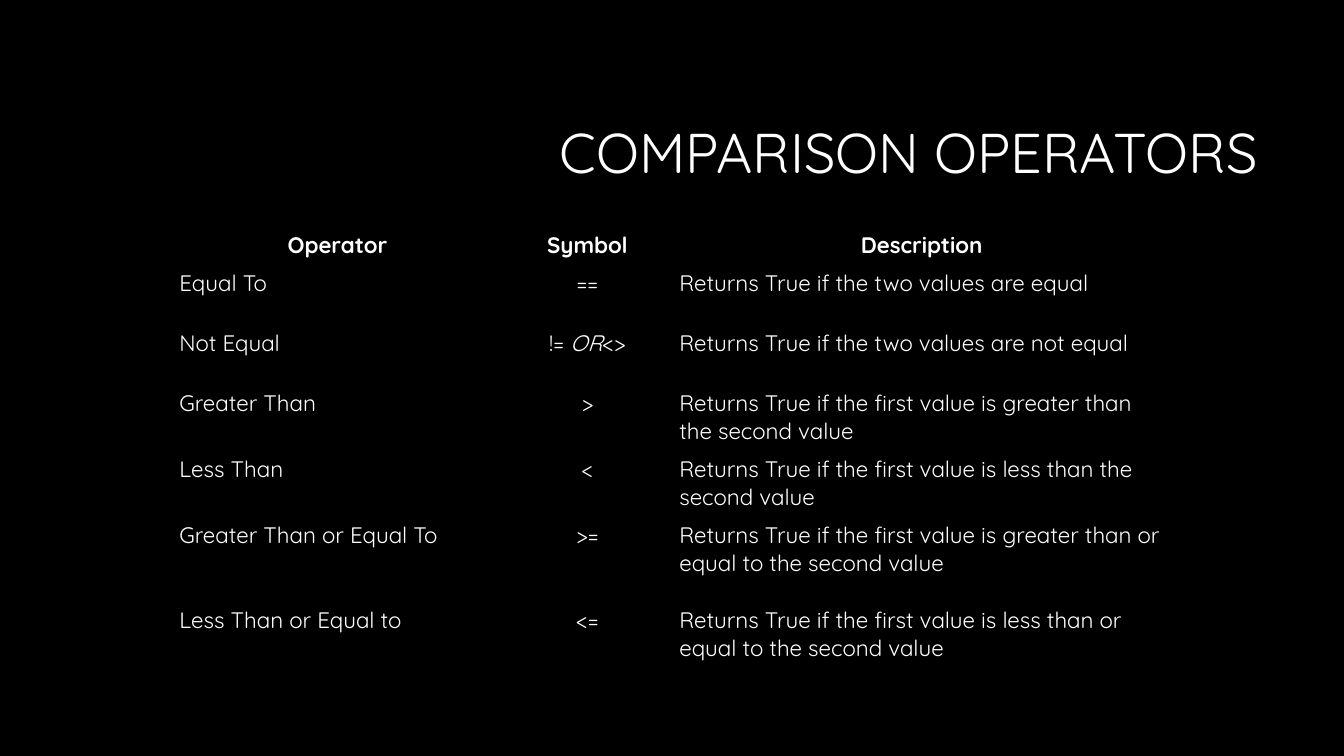
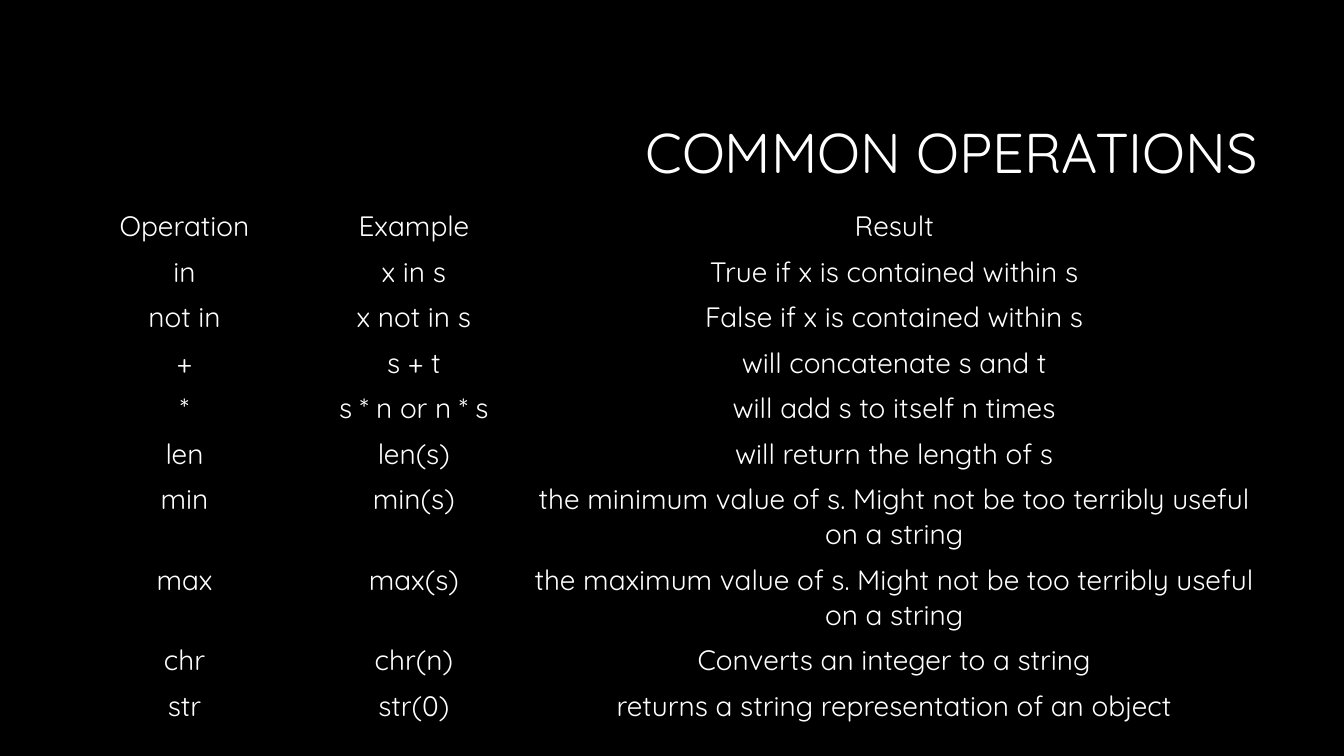
"""Build two slides of Python operator tables."""
from dataclasses import dataclass

from pptx import Presentation
from pptx.dml.color import RGBColor
from pptx.enum.text import MSO_ANCHOR, PP_ALIGN
from pptx.oxml.ns import qn
from pptx.presentation import Presentation as Deck
from pptx.slide import Slide
from pptx.util import Cm, Pt

LEFT, CENTER, RIGHT = PP_ALIGN.LEFT, PP_ALIGN.CENTER, PP_ALIGN.RIGHT
MIDDLE, TOP = MSO_ANCHOR.MIDDLE, MSO_ANCHOR.TOP
COLORS = {"background": "000000", "text": "FFFFFF"}
FONT = "Quicksand"
TITLE_ONLY = 5
NO_STYLE = "{2D5ABB26-0587-4C30-8999-92F81FD0307C}"


@dataclass(frozen=True)
class Run:
    text: str
    italic: bool = False


Cell = str | tuple[Run, ...]


@dataclass(frozen=True)
class TableSlide:
    title: str
    left: float
    top: float
    widths: tuple[float, ...]
    heights: tuple[float, ...]
    aligns: tuple[PP_ALIGN, ...]
    size: float
    side_margin: float
    bold_header: bool
    rows: tuple[tuple[Cell, ...], ...]


SLIDES = (
    TableSlide(
        title="COMPARISON OPERATORS",
        left=4.29, top=5.69,
        widths=(8.43, 4.17, 12.67),
        heights=(0.91, 1.51, 1.51, 1.52, 1.52, 2.14, 2.14),
        aligns=(LEFT, CENTER, LEFT),
        size=16, side_margin=0.23, bold_header=True,
        rows=(
            ("Operator", "Symbol", "Description"),
            ("Equal To", "==", "Returns True if the two values are equal"),
            ("Not Equal", (Run("!= "), Run("OR", italic=True), Run("<>")),
             "Returns True if the two values are not equal"),
            ("Greater Than", ">",
             "Returns True if the first value is greater than the second value"),
            ("Less Than", "<",
             "Returns True if the first value is less than the second value"),
            ("Greater Than or Equal To", ">=",
             "Returns True if the first value is greater than or equal to the second value"),
            ("Less Than or Equal to", "<=",
             "Returns True if the first value is less than or equal to the second value"),
        ),
    ),
    TableSlide(
        title="COMMON OPERATIONS",
        left=1.55, top=5.13,
        widths=(6.2, 5.36, 18.85),
        heights=(1.04,) * 6 + (2.03, 2.03, 1.04, 1.42),
        aligns=(CENTER,) * 3,
        size=20, side_margin=0.2, bold_header=False,
        rows=(
            ("Operation", "Example", "Result"),
            ("in", "x in s", "True if x is contained within s"),
            ("not in", "x not in s", "False if x is contained within s"),
            ("+", "s + t", "will concatenate s and t"),
            ("*", "s * n or n * s", "will add s to itself n times"),
            ("len", "len(s)", "will return the length of s"),
            ("min", "min(s)",
             "the minimum value of s. Might not be too terribly useful on a string"),
            ("max", "max(s)",
             "the maximum value of s. Might not be too terribly useful on a string"),
            ("chr", "chr(n)", "Converts an integer to a string"),
            ("str", "str(0)", "returns a string representation of an object"),
        ),
    ),
)


def write_text(target, content: Cell, *, size: float, align: PP_ALIGN,
               anchor: MSO_ANCHOR, side: float, bold: bool = False,
               line_spacing: float = 1.0) -> None:
    target.margin_left = target.margin_right = Cm(side)
    target.margin_top = target.margin_bottom = Cm(0.13)
    target.vertical_anchor = anchor
    target.word_wrap = True
    p = getattr(target, "text_frame", target).paragraphs[0]
    p.alignment = align
    p.line_spacing = line_spacing
    runs = (Run(content),) if isinstance(content, str) else content
    for run in runs:
        r = p.add_run()
        r.text = run.text
        r.font.name = FONT
        r.font.size = Pt(size)
        r.font.bold = bold
        r.font.italic = run.italic
        r.font.color.rgb = RGBColor.from_string(COLORS["text"])


def add_title(slide: Slide, text: str) -> None:
    sp = slide.shapes.title
    sp.left, sp.top, sp.width, sp.height = Cm(8.05), Cm(2.13), Cm(23.9), Cm(3.58)
    write_text(sp.text_frame, text, size=40, align=RIGHT, anchor=MIDDLE,
               side=0.25, line_spacing=0.9)


def add_table(slide: Slide, data: TableSlide) -> None:
    table = slide.shapes.add_table(
        len(data.rows), len(data.widths), Cm(data.left), Cm(data.top),
        Cm(sum(data.widths)), Cm(sum(data.heights))).table
    table.horz_banding = False
    table.first_row = data.bold_header
    table._tbl.tblPr.find(qn("a:tableStyleId")).text = NO_STYLE
    for column, width in zip(table.columns, data.widths):
        column.width = Cm(width)
    for i, (height, row) in enumerate(zip(data.heights, data.rows)):
        table.rows[i].height = Cm(height)
        for j, content in enumerate(row):
            cell = table.cell(i, j)
            cell.fill.background()
            write_text(cell, content, size=data.size,
                       align=CENTER if i == 0 else data.aligns[j],
                       anchor=TOP, side=data.side_margin,
                       bold=data.bold_header and i == 0)


def add_slide(prs: Deck, data: TableSlide) -> None:
    slide = prs.slides.add_slide(prs.slide_layouts[TITLE_ONLY])
    add_title(slide, data.title)
    add_table(slide, data)


def main() -> None:
    prs = Presentation()
    prs.slide_width, prs.slide_height = Cm(33.87), Cm(19.05)
    fill = prs.slide_master.background.fill
    fill.solid()
    fill.fore_color.rgb = RGBColor.from_string(COLORS["background"])
    for data in SLIDES:
        add_slide(prs, data)
    prs.save("out.pptx")


if __name__ == "__main__":
    main()
